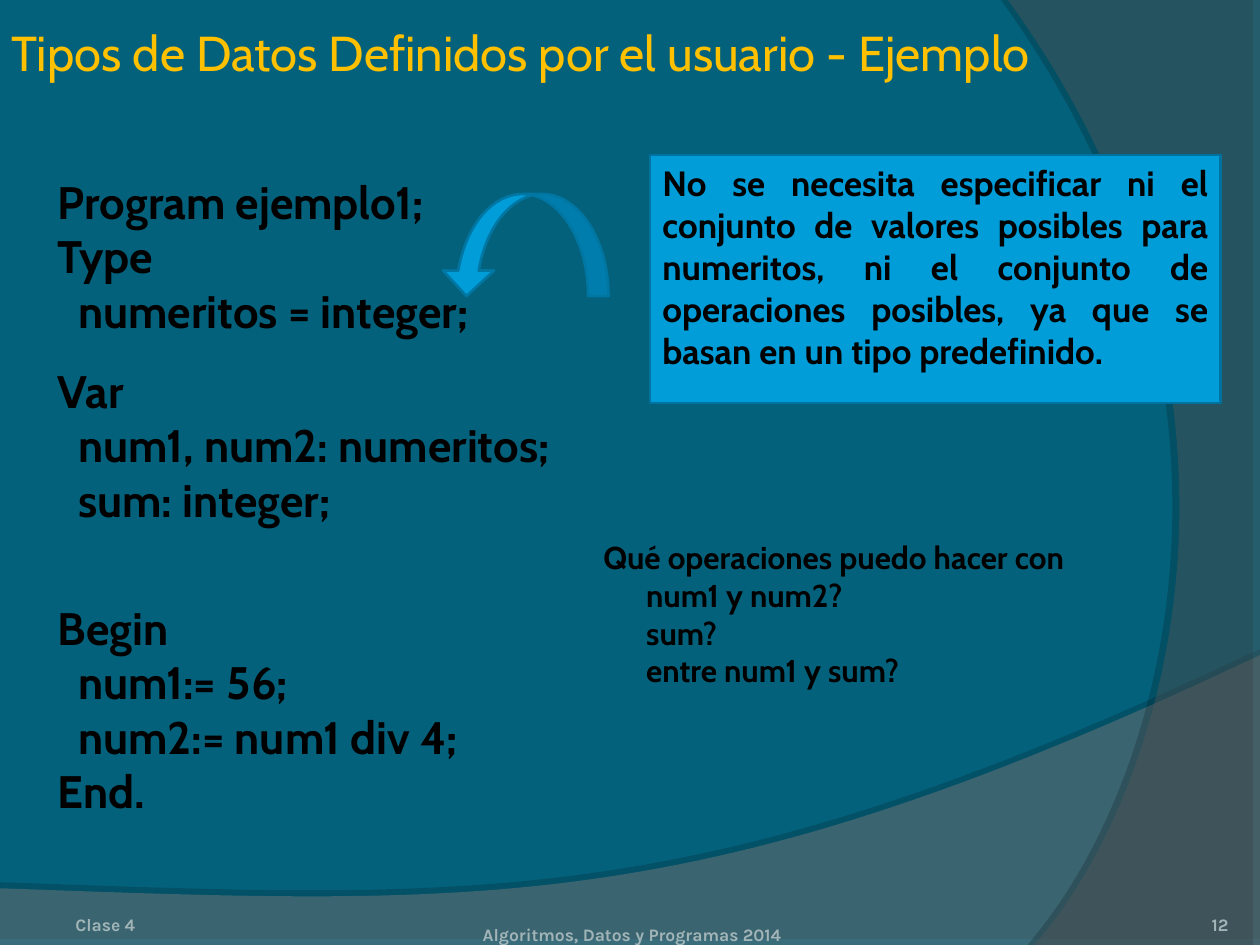
from lxml.etree import SubElement
from pptx import Presentation
from pptx.dml.color import RGBColor
from pptx.enum.shapes import MSO_SHAPE as Preset
from pptx.enum.text import MSO_ANCHOR as Anchor, MSO_AUTO_SIZE as AutoSize, PP_ALIGN as Align
from pptx.oxml.ns import qn
from pptx.util import Inches, Pt

COLORS = {
    "background": "04617B", "wave": "7C7C7C", "arc": "595959", "shadow": "000000",
    "title": "FFC000", "text": "000000", "footer": "A1B4B7",
    "box": "009DD9", "box_edge": "00729F", "arrow_edge": "0076A3",
}
TITLE = "Tipos de Datos Definidos por el usuario - Ejemplo"
CODE = [
    ((0.36, 1.33, 5.87, 1.48), ["Program ejemplo1;", "Type", "  numeritos = integer;"]),
    ((0.36, 2.83, 4.46, 1.48), ["Var", "  num1, num2: numeritos;", "  sum: integer;"]),
    ((0.36, 4.71, 3.83, 2.04), ["Begin", "  num1:= 56;", "  num2:= num1 div 4;", "End."]),
]
QUESTION = "Qué operaciones puedo hacer con"
OPTIONS = ["num1 y num2?", "sum?", "entre num1 y sum?"]
NOTE = ("No se necesita especificar ni el conjunto de valores posibles para numeritos, "
        "ni el conjunto de operaciones posibles, ya que se basan en un tipo predefinido.")
FOOTERS = [
    ((0.5, 7.02, 2.33, 0.4), "Clase 4", Align.LEFT, 0.1),
    ((3.43, 7.1, 3.17, 0.4), "Algoritmos, Datos y Programas 2014", Align.CENTER, 0),
    ((8.92, 7.02, 0.83, 0.4), "12", Align.RIGHT, 0),
]
BANDS = [
    dict(curve=[(10, 5.2), (5.59, 7.29), (3.91, 7.19), (0, 7.05)],
         corners=[(0, 7.5), (10, 7.5)], color="wave", opacity=45,
         shade=dict(opacity=35, distance=3.5, angle=270)),
    dict(curve=[(8.21, 7.5), (9.35, 6.19), (10.18, 3), (8, 0)],
         corners=[(10, 0), (10, 7.5)], color="arc", opacity=40,
         shade=dict(opacity=45, distance=4, angle=180)),
]


def rgb(name):
    return RGBColor.from_string(COLORS[name])


def box_of(place):
    return [Inches(length) for length in place]


def bezier(controls, steps=60):
    for step in range(steps + 1):
        t = step / steps
        weights = ((1 - t) ** 3, 3 * t * (1 - t) ** 2, 3 * t * t * (1 - t), t ** 3)
        yield tuple(sum(w * p[axis] for w, p in zip(weights, controls)) for axis in (0, 1))


def add_band(shapes, curve, corners, color, opacity, shade):
    outline = [(Inches(x), Inches(y)) for x, y in [*bezier(curve), *corners]]
    builder = shapes.build_freeform(*outline[0])
    builder.add_line_segments(outline[1:], close=True)
    band = builder.convert_to_shape()
    band.fill.solid()
    band.fill.fore_color.rgb = rgb(color)
    band.line.fill.background()
    band.shadow.inherit = False
    properties = band._element.spPr
    fill_color = properties.find(qn("a:solidFill"))[0]
    SubElement(fill_color, qn("a:alpha"), val=str(opacity * 1000))
    shadow = SubElement(properties.find(qn("a:effectLst")), qn("a:outerShdw"),
                        blurRad="0", dist=str(Pt(shade["distance"])),
                        dir=str(shade["angle"] * 60000), algn="ctr", rotWithShape="0")
    shadow_color = SubElement(shadow, qn("a:srgbClr"), val=COLORS["shadow"])
    SubElement(shadow_color, qn("a:alpha"), val=str(shade["opacity"] * 1000))


def write(frame, lines, size, color="text", font="Cabin", bold=True,
          align=Align.JUSTIFY, anchor=Anchor.TOP, side=0.1):
    frame.word_wrap = True
    frame.auto_size = AutoSize.NONE
    frame.vertical_anchor = anchor
    frame.margin_left = frame.margin_right = Inches(side)
    frame.text = "\n".join(lines)
    for paragraph in frame.paragraphs:
        paragraph.alignment = align
        paragraph.font.size = Pt(size)
        paragraph.font.name = font
        paragraph.font.bold = bold
        paragraph.font.color.rgb = rgb(color)


def add_preset(shapes, preset, place, edge):
    shape = shapes.add_shape(preset, *box_of(place))
    shape.shadow.inherit = False
    shape.fill.solid()
    shape.fill.fore_color.rgb = rgb("box")
    shape.line.color.rgb = rgb(edge)
    shape.line.width = Pt(1.5)
    return shape


def main():
    """Build the slide on user-defined data types."""
    deck = Presentation()
    deck.slide_width, deck.slide_height = Inches(10), Inches(7.5)
    slide = deck.slides.add_slide(deck.slide_layouts[5])
    shapes = slide.shapes
    slide.background.fill.solid()
    slide.background.fill.fore_color.rgb = rgb("background")

    for band in BANDS:
        add_band(shapes, **band)

    title = shapes.title
    shapes._spTree.append(title._element)
    title.left, title.top, title.width, title.height = box_of((0.04, 0, 8.9, 0.83))
    write(title.text_frame, [TITLE], 28, "title", bold=False,
          align=Align.LEFT, anchor=Anchor.MIDDLE, side=0.05)

    for place, label, align, side in FOOTERS:
        frame = shapes.add_textbox(*box_of(place)).text_frame
        write(frame, [label], 10, "footer", "Karla", align=align, anchor=Anchor.BOTTOM, side=side)
        frame.margin_bottom = 0

    for place, lines in CODE:
        write(shapes.add_textbox(*box_of(place)).text_frame, lines, 26)

    question = shapes.add_textbox(*box_of((4.69, 4.22, 4.09, 1.42))).text_frame
    write(question, [QUESTION, *OPTIONS], 18)
    for option in question.paragraphs[1:]:
        option._p.get_or_add_pPr().set("marL", str(Inches(0.34)))

    note = add_preset(shapes, Preset.RECTANGLE, (5.16, 1.23, 4.53, 1.97), "box_edge")
    write(note.text_frame, [NOTE], 20)

    arrow = add_preset(shapes, Preset.CURVED_DOWN_ARROW, (3.5, 1.54, 1.33, 0.81), "arrow_edge")
    for index, ratio in enumerate((0.2, 0.5, 0.25)):
        arrow.adjustments[index] = ratio
    arrow._element.spPr.xfrm.set("flipH", "1")

    deck.save("out.pptx")


if __name__ == "__main__":
    main()
